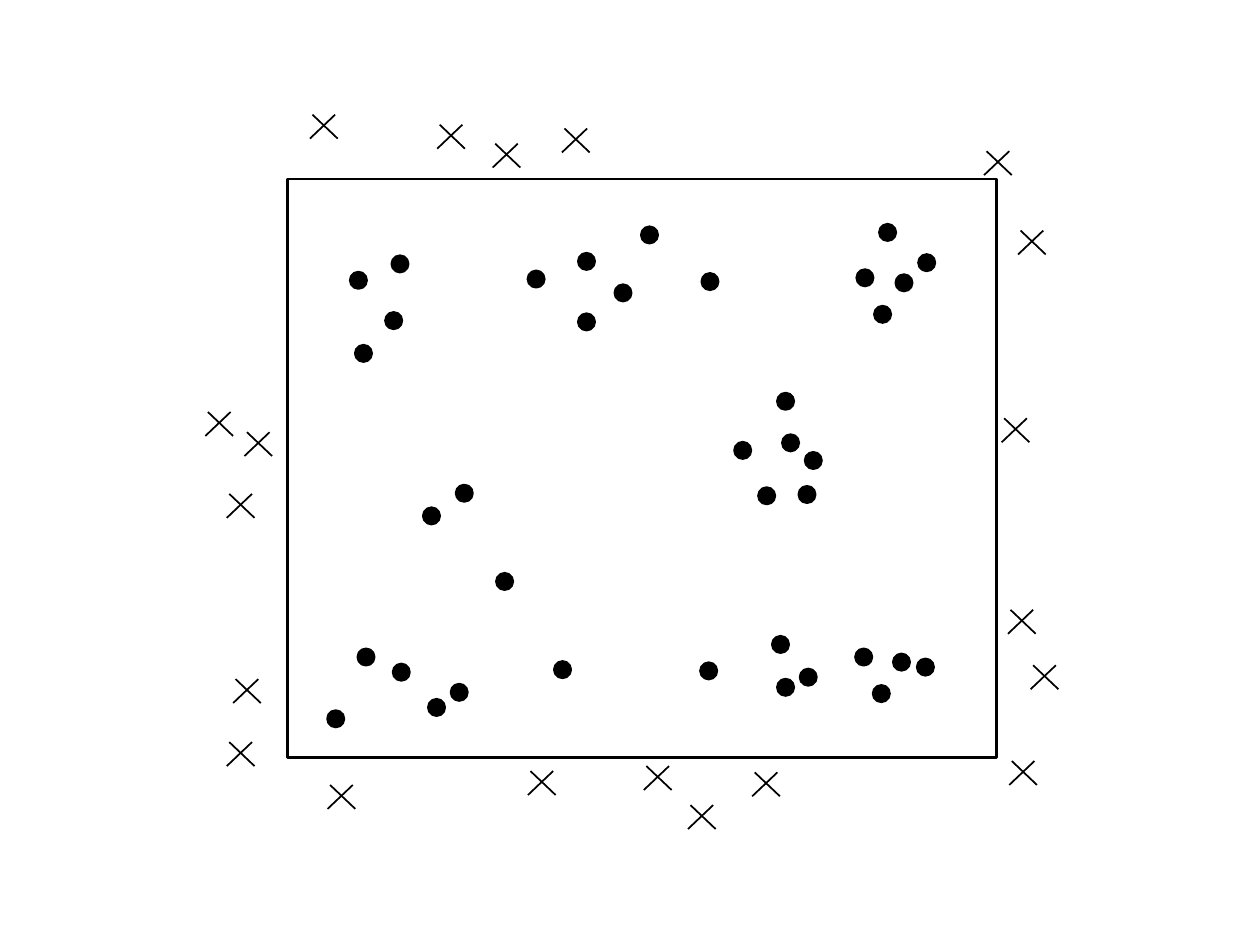
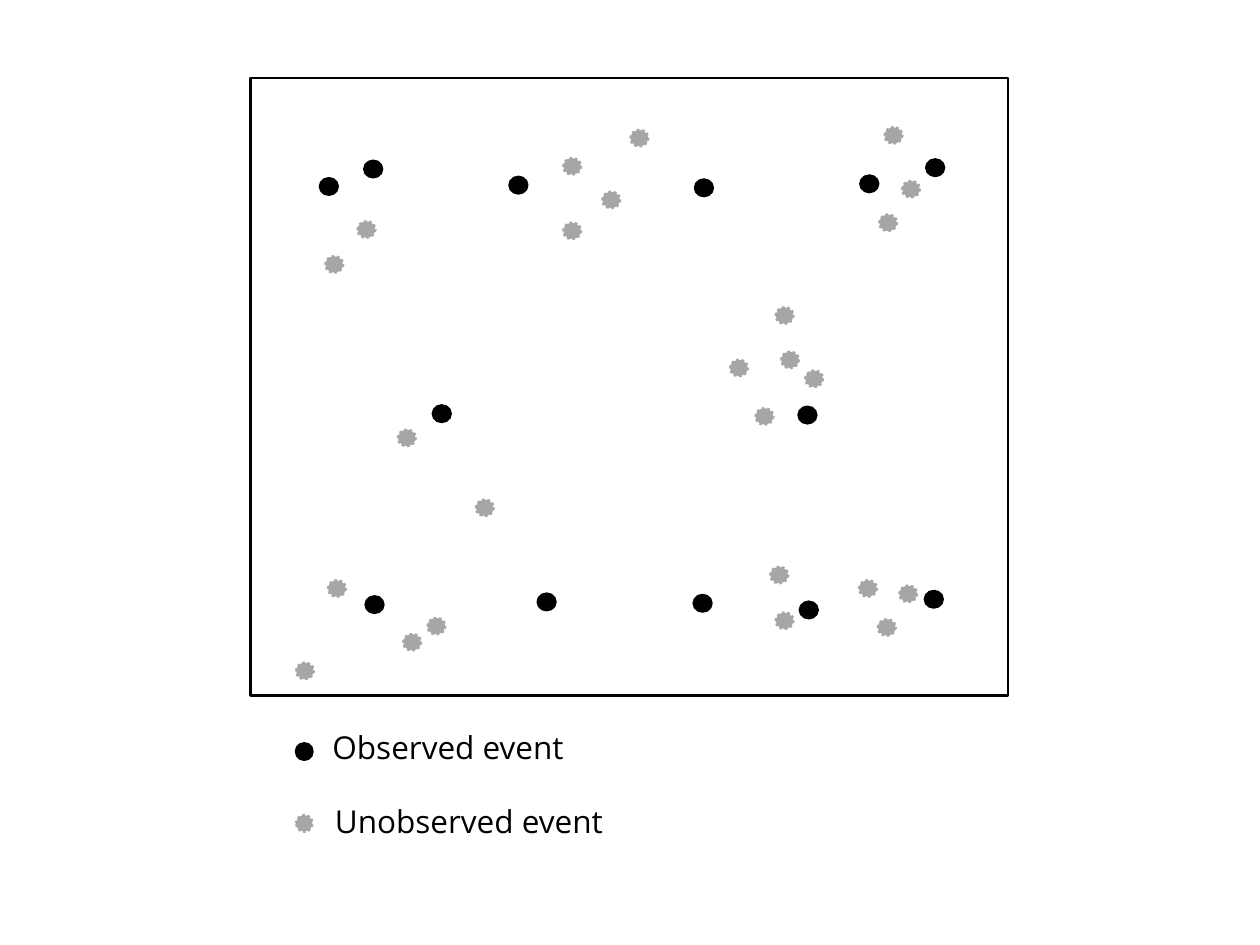
"""Build two slides on point events: edge effects and partly observed events."""
from dataclasses import dataclass
from typing import NamedTuple

from lxml.etree import SubElement
from pptx import Presentation
from pptx.dml.color import RGBColor
from pptx.enum.dml import MSO_LINE
from pptx.enum.shapes import MSO_CONNECTOR as Connector, MSO_SHAPE as Preset
from pptx.oxml.ns import qn
from pptx.shapes.shapetree import GroupShapes, SlideShapes
from pptx.util import Inches, Pt

Shapes = SlideShapes | GroupShapes


@dataclass(frozen=True)
class Theme:
    """Colours, type and line sizes shared by both slides."""
    ink: RGBColor = RGBColor(0x00, 0x00, 0x00)
    muted: RGBColor = RGBColor(0xA6, 0xA6, 0xA6)
    font: str = "Open Sans"
    text_size: Pt = Pt(18)
    outline: Pt = Pt(1.5)
    cross_line: Pt = Pt(1)


class Point(NamedTuple):
    """A left and top position in inches."""
    x: float
    y: float


class Frame(NamedTuple):
    """The border of a study area in inches."""
    x: float
    y: float
    width: float
    height: float


class LegendEntry(NamedTuple):
    """A legend marker with its label."""
    marker: Point
    label: Point
    width: float
    text: str
    observed: bool


THEME = Theme()
DOT_SIZE = 0.13
ENLARGED_DOT_SIZE = 0.14
CROSS_WIDTH, CROSS_HEIGHT, CROSS_SHIFT = 0.2, 0.19, 0.02
STUDY_AREA = Frame(2.28, 1.42, 5.63, 4.59)
ENLARGED_AREA = Frame(1.99, 0.62, 6.01, 4.9)
ENLARGEMENT = 1.067
ANCHOR, ENLARGED_ANCHOR = Point(2.78, 1.78), Point(2.54, 1.01)

OBSERVED = [Point(*position) for position in (
    (2.78, 2.16), (3.11, 2.03), (4.19, 2.15), (5.57, 2.17), (6.8, 2.14),
    (7.29, 2.02), (3.62, 3.85), (6.34, 3.86), (3.12, 5.27), (4.4, 5.25),
    (5.56, 5.26), (6.35, 5.31), (7.28, 5.23),
)]
UNOBSERVED = [Point(*position) for position in (
    (3.06, 2.48), (2.82, 2.74), (4.59, 2.01), (4.59, 2.49), (4.88, 2.26),
    (5.09, 1.8), (6.98, 1.78), (7.11, 2.18), (6.94, 2.43), (6.17, 3.12),
    (5.83, 3.51), (6.21, 3.45), (6.39, 3.59), (6.02, 3.87), (3.36, 4.03),
    (3.94, 4.55), (2.84, 5.15), (3.4, 5.55), (3.58, 5.43), (6.13, 5.05),
    (6.17, 5.39), (6.79, 5.15), (6.93, 5.44), (7.09, 5.19),
)]
CORNER_EVENT, ENLARGED_CORNER_EVENT = Point(2.6, 5.64), Point(2.35, 5.26)
OUTSIDE = [Point(*position) for position in (
    (1.63, 3.27), (1.94, 3.43), (1.8, 3.92), (1.85, 5.39), (1.8, 5.89),
    (2.6, 6.23), (4.19, 6.12), (5.11, 6.08), (5.46, 6.39), (5.97, 6.13),
    (7.95, 3.32), (8, 4.84), (8.18, 5.28), (8.01, 6.04), (7.81, 1.2),
    (8.08, 1.83), (2.46, 0.91), (3.47, 0.99), (3.91, 1.14), (4.46, 1.02),
)]
LEGEND = (
    LegendEntry(Point(2.35, 5.9), Point(2.54, 5.73), 3.09,
                "Observed event", True),
    LegendEntry(Point(2.35, 6.47), Point(2.56, 6.32), 3.5,
                "Unobserved event", False),
)


def enlarge(point: Point) -> Point:
    """Carry a point from the study area to the enlarged area."""
    return Point(
        ENLARGED_ANCHOR.x + (point.x - ANCHOR.x) * ENLARGEMENT,
        ENLARGED_ANCHOR.y + (point.y - ANCHOR.y) * ENLARGEMENT,
    )


def draw_frame(shapes: Shapes, frame: Frame) -> None:
    """Draw the unfilled border of a study area."""
    shape = shapes.add_shape(Preset.RECTANGLE, *map(Inches, frame))
    shape.shadow.inherit = False
    shape.fill.background()
    shape.line.color.rgb = THEME.ink
    shape.line.width = THEME.outline


def draw_event(shapes: Shapes, point: Point, observed: bool = True,
               width: float = DOT_SIZE) -> None:
    """Draw an event dot, grey with a dotted edge when unobserved."""
    shape = shapes.add_shape(Preset.OVAL, Inches(point.x), Inches(point.y),
                             Inches(width), Inches(DOT_SIZE))
    colour = THEME.ink if observed else THEME.muted
    shape.shadow.inherit = False
    shape.fill.solid()
    shape.fill.fore_color.rgb = colour
    shape.line.color.rgb = colour
    shape.line.width = THEME.outline
    if not observed:
        shape.line.dash_style = MSO_LINE.ROUND_DOT


def draw_cross(shapes: Shapes, point: Point) -> None:
    """Draw an event outside the study area as two crossing lines."""
    bottom = point.y + CROSS_HEIGHT
    left = point.x + CROSS_SHIFT
    strokes = ((point.x, point.x + CROSS_WIDTH), (left + CROSS_WIDTH, left))
    for start, end in strokes:
        line = shapes.add_connector(
            Connector.STRAIGHT, Inches(start), Inches(bottom),
            Inches(end), Inches(point.y))
        line.line.color.rgb = THEME.ink
        line.line.width = THEME.cross_line
        SubElement(line._element.spPr, qn("a:effectLst"))


def draw_legend_entry(shapes: Shapes, entry: LegendEntry) -> None:
    """Draw a legend marker and its label."""
    draw_event(shapes, entry.marker, entry.observed)
    box = shapes.add_textbox(Inches(entry.label.x), Inches(entry.label.y),
                             Inches(entry.width), Inches(0.57))
    box.text_frame.word_wrap = True
    paragraph = box.text_frame.paragraphs[0]
    paragraph.text = entry.text
    paragraph.font.name = THEME.font
    paragraph.font.size = THEME.text_size
    paragraph.font.color.rgb = THEME.ink


def draw_edge_slide(shapes: Shapes) -> None:
    """Draw all events inside the study area and those beyond its edge."""
    group = shapes.add_group_shape().shapes
    for point in (*OBSERVED, *UNOBSERVED, CORNER_EVENT):
        draw_event(group, point)
    draw_frame(group, STUDY_AREA)
    for point in OUTSIDE:
        draw_cross(group, point)


def draw_observation_slide(shapes: Shapes) -> None:
    """Draw observed and unobserved events with a legend."""
    draw_frame(shapes, ENLARGED_AREA)
    for point in map(enlarge, OBSERVED):
        draw_event(shapes, point, True, ENLARGED_DOT_SIZE)
    for point in (*map(enlarge, UNOBSERVED), ENLARGED_CORNER_EVENT):
        draw_event(shapes, point, False, ENLARGED_DOT_SIZE)
    for entry in LEGEND:
        draw_legend_entry(shapes, entry)


def main() -> None:
    """Build and save the presentation."""
    presentation = Presentation()
    presentation.slide_width, presentation.slide_height = Inches(10), Inches(7.5)
    blank_layout = presentation.slide_layouts[6]
    for draw_slide in (draw_edge_slide, draw_observation_slide):
        draw_slide(presentation.slides.add_slide(blank_layout).shapes)
    presentation.save("out.pptx")


main()
